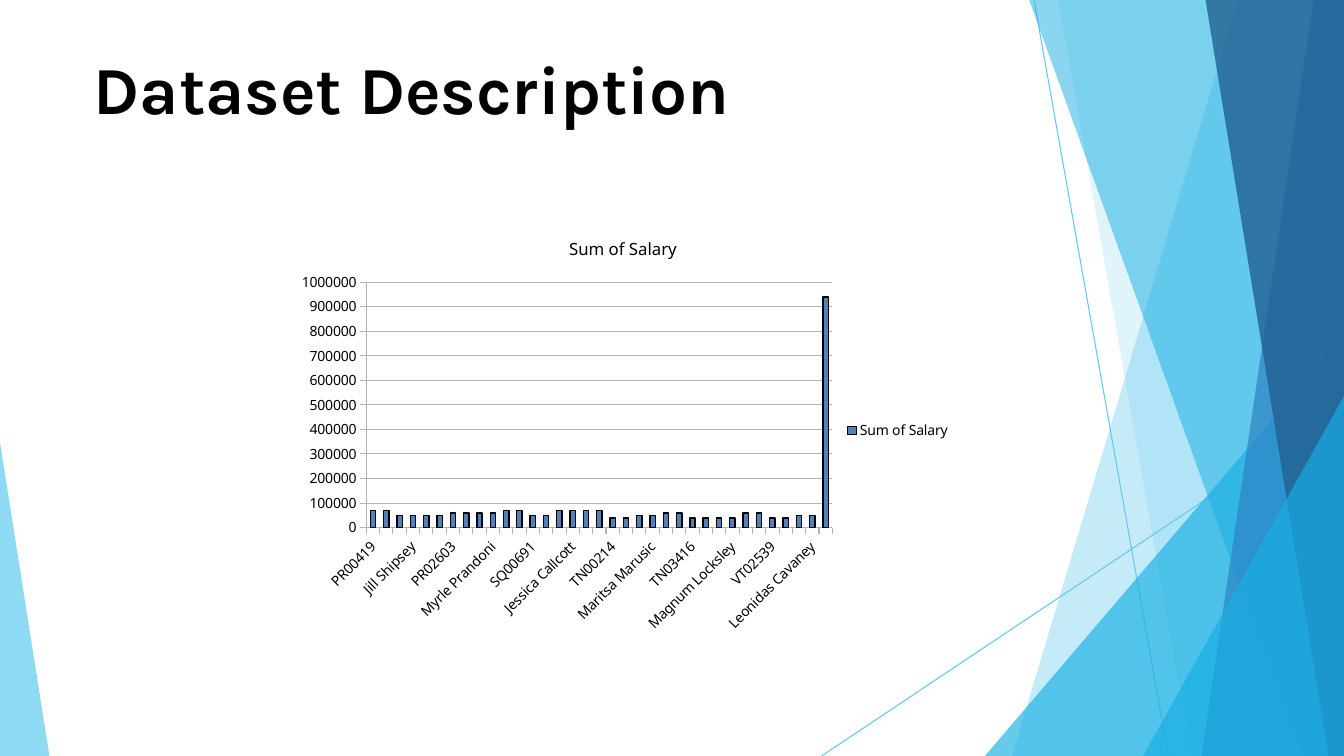
from lxml import etree
from pptx import Presentation
from pptx.chart.data import CategoryChartData as ChartData
from pptx.dml.color import RGBColor as Rgb
from pptx.enum.chart import XL_CHART_TYPE as ChartType, XL_LEGEND_POSITION as LegendSide
from pptx.enum.chart import XL_TICK_MARK as Tick
from pptx.enum.shapes import MSO_CONNECTOR as Connector
from pptx.oxml import parse_xml
from pptx.oxml.ns import nsdecls, qn
from pptx.util import Inches, Pt

COLORS = {"ink": "000000", "sky": "5FCAEE", "cyan": "17AFE3", "blue": "2D83C3",
          "navy": "226192", "bar": "4F81BD", "grid": "B3B3B3"}

SALARIES = [
    ("PR00419", "Billi Fellgate", 70000), ("PR00882", "Jill Shipsey", 50000),
    ("PR00893", "Daisie McNeice", 50000), ("PR02603", "Daisie Dahlman", 60000),
    ("PR03445", "Myrle Prandoni", 60000), ("PR04473", "Wyn Treadger", 70000),
    ("SQ00691", "Verla Timmis", 50000), ("SQ01854", "Jessica Callcott", 70000),
    ("SQ04598", "Pearla Beteriss", 70000), ("TN00214", "Jo-anne Gobeau", 40000),
    ("TN00464", "Maritsa Marusic", 50000), ("TN02749", "Mackenzie Hannis", 60000),
    ("TN03416", "Seward Kubera", 40000), ("VT00578", "Magnum Locksley", 40000),
    ("VT02417", "Evangelina Lergan", 60000), ("VT02539", "Devinne Tuny", 40000),
    ("VT03849", "Leonidas Cavaney", 50000),
]
GRAND_TOTAL = 940000

RIGHT_FACETS = [
    (92.1, 75.3, 0, "sky", 36), (78.75, 88.65, 0, "sky", 20),
    (100, 73.28, 44.4, "cyan", 66), (76.58, 96.83, 0, "cyan", 50),
    (97.73, 89.4, 0, "blue", 70), (89.7, 98.85, 0, "navy", 80),
    (100, 85.05, 52.4, "cyan", 66),
]


class Deck:
    """Draws styled elements on one slide, placed in percent of its size."""

    def __init__(self):
        self.show = Presentation()
        self.show.slide_width, self.show.slide_height = Inches(13.333), Inches(7.5)
        self.slide = self.show.slides.add_slide(self.show.slide_layouts[6])
        self.shapes = self.slide.shapes

    def x(self, share):
        return round(self.show.slide_width * share / 100)

    def y(self, share):
        return round(self.show.slide_height * share / 100)

    def box(self, left, top, width, height):
        return self.x(left), self.y(top), self.x(width), self.y(height)

    def color(self, name):
        return Rgb.from_string(COLORS[name])

    def style(self, font, size, family="Noto Sans", bold=False):
        font.size, font.name, font.bold = Pt(size), family, bold
        font.color.rgb = self.color("ink")

    def ray(self, x1, y1, x2, y2):
        ray = self.shapes.add_connector(
            Connector.STRAIGHT, self.x(x1), self.y(y1), self.x(x2), self.y(y2))
        ray.line.color.rgb = self.color("sky")
        ray.line.width = Pt(0.75)
        etree.SubElement(ray._element.spPr, qn("a:effectLst"))

    def facet(self, corners, color, opacity):
        start, *rest = [(self.x(x), self.y(y)) for x, y in corners]
        builder = self.shapes.build_freeform(*start)
        builder.add_line_segments(rest, close=True)
        facet = builder.convert_to_shape()
        facet.shadow.inherit = False
        facet.line.fill.background()
        facet.fill.solid()
        facet.fill.fore_color.rgb = self.color(color)
        tint = facet._element.spPr.find(qn("a:solidFill"))[0]
        etree.SubElement(tint, qn("a:alpha"), val=str(opacity * 1000))

    def title(self, text, *place):
        frame = self.shapes.add_textbox(*self.box(*place)).text_frame
        frame.word_wrap = True
        run = frame.paragraphs[0].add_run()
        run.text = text
        self.style(run.font, 48, "Karla", True)

    def axis(self, axis):
        axis.major_tick_mark, axis.minor_tick_mark = Tick.OUTSIDE, Tick.NONE
        axis.format.line.color.rgb = self.color("grid")
        self.style(axis.tick_labels.font, 10)

    def columns(self, name, rows, total, place, plot_area):
        data = ChartData()
        data.categories = [label for row in rows for label in row[:2]] + ["Grand Total"]
        data.add_series(name, [row[2] for row in rows for label in row[:2]] + [total])
        chart = self.shapes.add_chart(
            ChartType.COLUMN_CLUSTERED, *self.box(*place), data).chart
        self.style(chart.font, 10)
        heading = chart.chart_title.text_frame.paragraphs[0].add_run()
        heading.text = name
        self.style(heading.font, 12)
        chart.has_legend = True
        chart.legend.position = LegendSide.RIGHT
        chart.legend.include_in_layout = False
        self.style(chart.legend.font, 10)
        names, salary = chart.category_axis, chart.value_axis
        self.axis(names)
        self.axis(salary)
        names._element.txPr.bodyPr.set("rot", "-2700000")
        salary.minimum_scale, salary.maximum_scale, salary.major_unit = 0, 1000000, 100000
        salary.major_gridlines.format.line.color.rgb = self.color("grid")
        plot = chart.plots[0]
        plot.gap_width, plot.vary_by_categories = 150, False
        bars = plot.series[0].format
        bars.fill.solid()
        bars.fill.fore_color.rgb = self.color("bar")
        bars.line.color.rgb = self.color("ink")
        bars.line.width = Pt(1)
        self.pin(chart, plot_area)

    def pin(self, chart, plot_area):
        modes = '<c:layoutTarget val="inner"/><c:xMode val="edge"/><c:yMode val="edge"/>'
        sizes = "".join(f'<c:{key} val="{share}"/>' for key, share in zip("xywh", plot_area))
        area = chart._chartSpace.chart.plotArea
        for automatic in area.findall(qn("c:layout")):
            area.remove(automatic)
        area.insert(0, parse_xml(
            f'<c:layout {nsdecls("c")}><c:manualLayout>{modes}{sizes}'
            "</c:manualLayout></c:layout>"))


def main():
    deck = Deck()
    deck.ray(76.95, 0.13, 86.93, 100)
    deck.ray(100, 53.87, 61.13, 100)
    for top_x, bottom_x, top_y, color, opacity in RIGHT_FACETS:
        corners = [(100, top_y), (top_x, top_y), (bottom_x, 100), (100, 100)]
        deck.facet(corners, color, opacity)
    deck.facet([(0, 58.53), (0, 100), (3.68, 100)], "sky", 70)
    deck.title("Dataset Description", 6.23, 5.6, 87.6, 11.07)
    deck.columns("Sum of Salary", SALARIES, GRAND_TOTAL,
                 (21.23, 28.93, 50.25, 56), (0.12, 0.15, 0.69, 0.58))
    deck.show.save("out.pptx")


if __name__ == "__main__":
    main()
